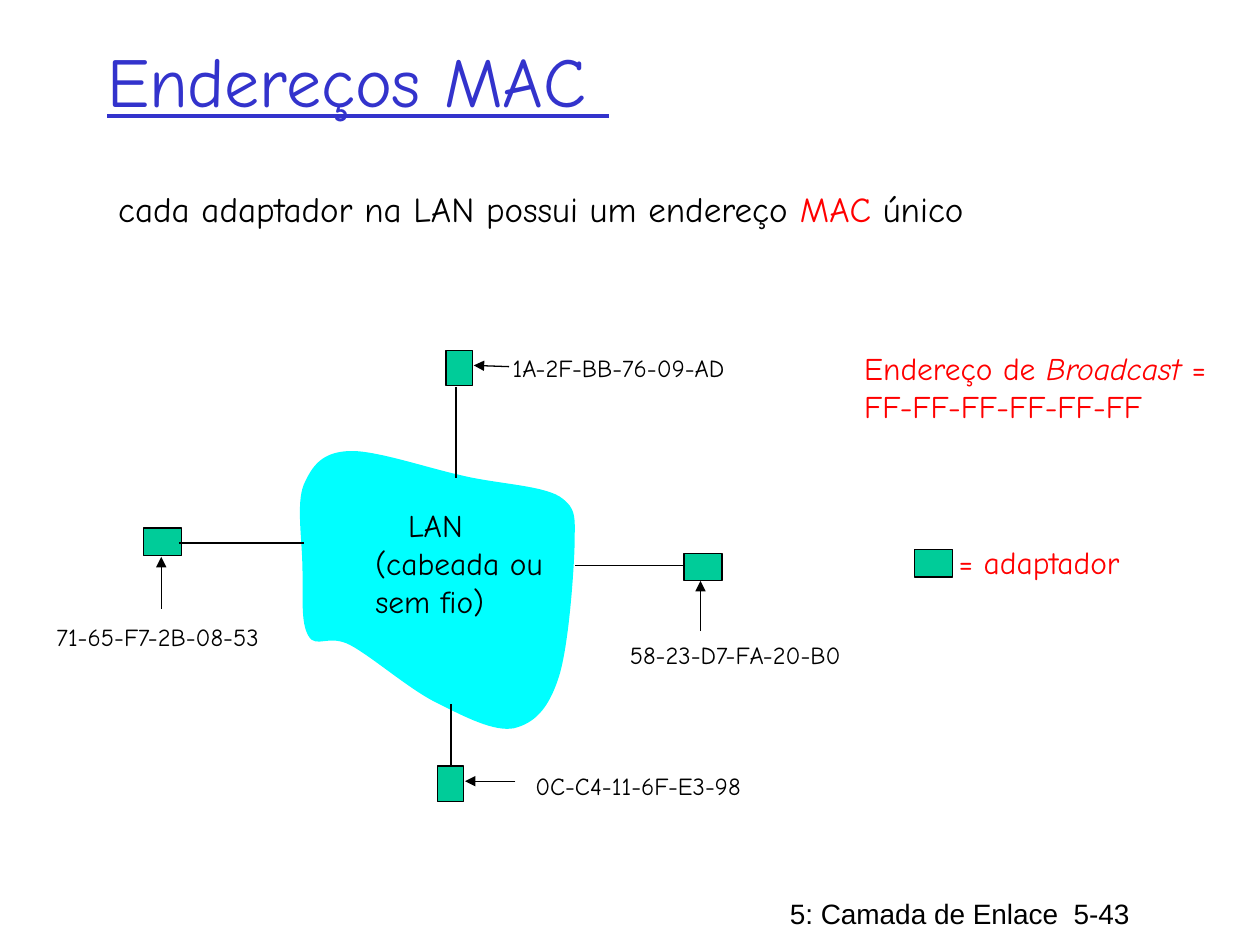
from dataclasses import dataclass

from lxml import etree
from pptx import Presentation
from pptx.dml.color import RGBColor
from pptx.enum.shapes import MSO_CONNECTOR, MSO_SHAPE
from pptx.enum.text import MSO_ANCHOR, MSO_AUTO_SIZE, PP_ALIGN
from pptx.oxml.ns import qn
from pptx.util import Inches, Pt

RECTANGLE = MSO_SHAPE.RECTANGLE
STRAIGHT = MSO_CONNECTOR.STRAIGHT
MIDDLE = MSO_ANCHOR.MIDDLE
FIXED = MSO_AUTO_SIZE.NONE
GROW = MSO_AUTO_SIZE.SHAPE_TO_FIT_TEXT
LEFT = PP_ALIGN.LEFT
TITLE_ONLY = 5
LAN_INDENT = 0.26


@dataclass(frozen=True)
class Theme:
    """Colours, fonts and type sizes of the slide."""
    ink: RGBColor = RGBColor(0x00, 0x00, 0x00)
    title: RGBColor = RGBColor(0x33, 0x33, 0xCC)
    accent: RGBColor = RGBColor(0xFF, 0x00, 0x00)
    adapter: RGBColor = RGBColor(0x00, 0xCC, 0x99)
    cloud: RGBColor = RGBColor(0x00, 0xFF, 0xFF)
    hand: str = "Comic Neue"
    plain: str = "Arial"
    title_size: int = 40
    lead_size: int = 20
    note_size: int = 18
    footer_size: int = 16
    address_size: int = 14
    line_width: float = 0.75


THEME = Theme()


@dataclass(frozen=True)
class Host:
    """An adapter with its LAN link, address label and pointer."""
    address: str
    label_box: tuple
    adapter_box: tuple
    link: tuple
    pointer: tuple


WIDE = (0.3, 0.22)
TALL = (0.21, 0.28)
HOSTS = (
    Host("1A-2F-BB-76-09-AD", (3.97, 2.75, 2.08, 0.33), (3.54, 2.78, *TALL),
         (3.62, 3.07, 3.62, 3.79), (4.04, 2.91, 3.76, 2.9)),
    Host("58-23-D7-FA-20-B0", (4.9, 5.03, 2.08, 0.33), (5.43, 4.39, *WIDE),
         (5.44, 4.49, 4.56, 4.49), (5.56, 5.01, 5.56, 4.61)),
    Host("0C-C4-11-6F-E3-98", (4.15, 6.07, 1.96, 0.33), (3.47, 6.08, *TALL),
         (3.58, 6.07, 3.58, 5.59), (4.09, 6.2, 3.69, 6.2)),
    Host("71-65-F7-2B-08-53", (0.35, 4.89, 2, 0.33), (1.14, 4.19, *WIDE),
         (1.42, 4.31, 2.41, 4.31), (1.28, 4.83, 1.28, 4.42)),
)

CLOUD_START = (2.77, 3.58)
CLOUD_CURVES = (
    ((2.56, 3.59), (2.48, 3.69), (2.41, 3.85)),
    ((2.35, 4), (2.4, 4.3), (2.4, 4.5)),
    ((2.41, 4.7), (2.38, 4.94), (2.45, 5.05)),
    ((2.51, 5.15), (2.61, 5.03), (2.78, 5.12)),
    ((2.95, 5.21), (3.26, 5.48), (3.47, 5.58)),
    ((3.69, 5.69), (3.92, 5.81), (4.08, 5.78)),
    ((4.24, 5.74), (4.35, 5.63), (4.43, 5.39)),
    ((4.51, 5.16), (4.55, 4.6), (4.56, 4.36)),
    ((4.56, 4.12), (4.59, 4.04), (4.44, 3.94)),
    ((4.29, 3.85), (3.93, 3.84), (3.65, 3.77)),
    ((3.38, 3.71), (2.97, 3.57), CLOUD_START),
)


def inches(values):
    """Convert a sequence of numbers to lengths."""
    return [Inches(value) for value in values]


def add_run(paragraph, text, size, color, font=THEME.hand, italic=False):
    """Append one formatted run and return it."""
    run = paragraph.add_run()
    run.text = text
    run.font.name = font
    run.font.size = Pt(size)
    run.font.color.rgb = color
    run.font.italic = italic
    return run


def add_text(slide, box, lines, size, color=THEME.ink, font=THEME.hand, wrap=False):
    """Add a text box whose lines are lists of (text, run options)."""
    frame = slide.shapes.add_textbox(*inches(box)).text_frame
    frame.word_wrap = wrap
    frame.auto_size = GROW
    for index, line in enumerate(lines):
        paragraph = frame.add_paragraph() if index else frame.paragraphs[0]
        paragraph.alignment = LEFT
        for text, options in line:
            add_run(paragraph, text, size, **{"color": color, "font": font, **options})
    return frame


def add_title(slide, text):
    """Place and format the title placeholder."""
    title = slide.shapes.title
    title.left, title.top, title.width, title.height = inches((0.75, 0.17, 8.5, 0.92))
    frame = title.text_frame
    frame.vertical_anchor = MIDDLE
    frame.auto_size = FIXED
    paragraph = frame.paragraphs[0]
    paragraph.alignment = LEFT
    add_run(paragraph, text, THEME.title_size, THEME.title).font.underline = True


def add_adapter(slide, box):
    """Add the green rectangle that stands for an adapter."""
    adapter = slide.shapes.add_shape(RECTANGLE, *inches(box))
    adapter.shadow.inherit = False
    adapter.fill.solid()
    adapter.fill.fore_color.rgb = THEME.adapter
    adapter.line.color.rgb = THEME.ink
    adapter.line.width = Pt(THEME.line_width)


def add_line(slide, ends, arrow=False):
    """Add a straight line, with an arrowhead at its end if asked."""
    connector = slide.shapes.add_connector(STRAIGHT, *inches(ends))
    connector.line.color.rgb = THEME.ink
    connector.line.width = Pt(THEME.line_width)
    if arrow:
        etree.SubElement(connector.line._get_or_add_ln(), qn("a:tailEnd"), type="triangle")
    etree.SubElement(connector._element.spPr, qn("a:effectLst"))


def bend_segments(outline):
    """Merge each three straight segments of a freeform into one Bézier curve."""
    segments = list(outline._element.iter(qn("a:lnTo")))
    for first in range(0, len(segments), 3):
        curve = etree.Element(qn("a:cubicBezTo"))
        segments[first].addprevious(curve)
        for segment in segments[first:first + 3]:
            curve.append(segment[0])
            segment.getparent().remove(segment)


def add_cloud(slide):
    """Add the curved outline of the LAN."""
    builder = slide.shapes.build_freeform(*inches(CLOUD_START))
    controls = [inches(point) for curve in CLOUD_CURVES for point in curve]
    builder.add_line_segments(controls, close=True)
    cloud = builder.convert_to_shape()
    bend_segments(cloud)
    cloud.shadow.inherit = False
    cloud.fill.solid()
    cloud.fill.fore_color.rgb = THEME.cloud
    cloud.line.fill.background()


def add_host(slide, host):
    """Add an adapter, its link, its address and the pointer between them."""
    add_adapter(slide, host.adapter_box)
    add_line(slide, host.link)
    add_text(slide, host.label_box, [[(host.address, {})]], THEME.address_size)
    add_line(slide, host.pointer, arrow=True)


def main():
    """Build and save the slide."""
    deck = Presentation()
    deck.slide_width, deck.slide_height = inches((10, 7.5))
    slide = deck.slides.add_slide(deck.slide_layouts[TITLE_ONLY])
    add_title(slide, "Endereços MAC ")
    add_text(slide, (0.84, 1.44, 7.27, 0.43),
             [[("cada adaptador na LAN possui um endereço ", {}),
               ("MAC ", {"color": THEME.accent}), ("único", {})]], THEME.lead_size)
    add_text(slide, (6.76, 2.72, 3.11, 0.7),
             [[("Endereço de ", {}), ("Broadcast", {"italic": True}), (" =", {})],
              [("FF-FF-FF-FF-FF-FF", {})]], THEME.note_size, THEME.accent)
    add_adapter(slide, (7.26, 4.36, *WIDE))
    add_text(slide, (7.51, 4.26, 1.59, 0.4), [[("= adaptador", {})]],
             THEME.note_size, THEME.accent)
    add_cloud(slide)
    for host in HOSTS:
        add_host(slide, host)
    lan = add_text(slide, (2.88, 3.97, 1.58, 1),
                   [[("LAN", {})], [("(cabeada ou", {})], [("sem fio)", {})]],
                   THEME.note_size)
    lan.paragraphs[0]._p.get_or_add_pPr().set("indent", str(Inches(LAN_INDENT)))
    add_text(slide, (6.17, 7.07, 3.83, 0.37),
             [[("5: Camada de Enlace ", {}), (" 5-43", {})]],
             THEME.footer_size, font=THEME.plain, wrap=True)
    deck.save("out.pptx")


if __name__ == "__main__":
    main()
